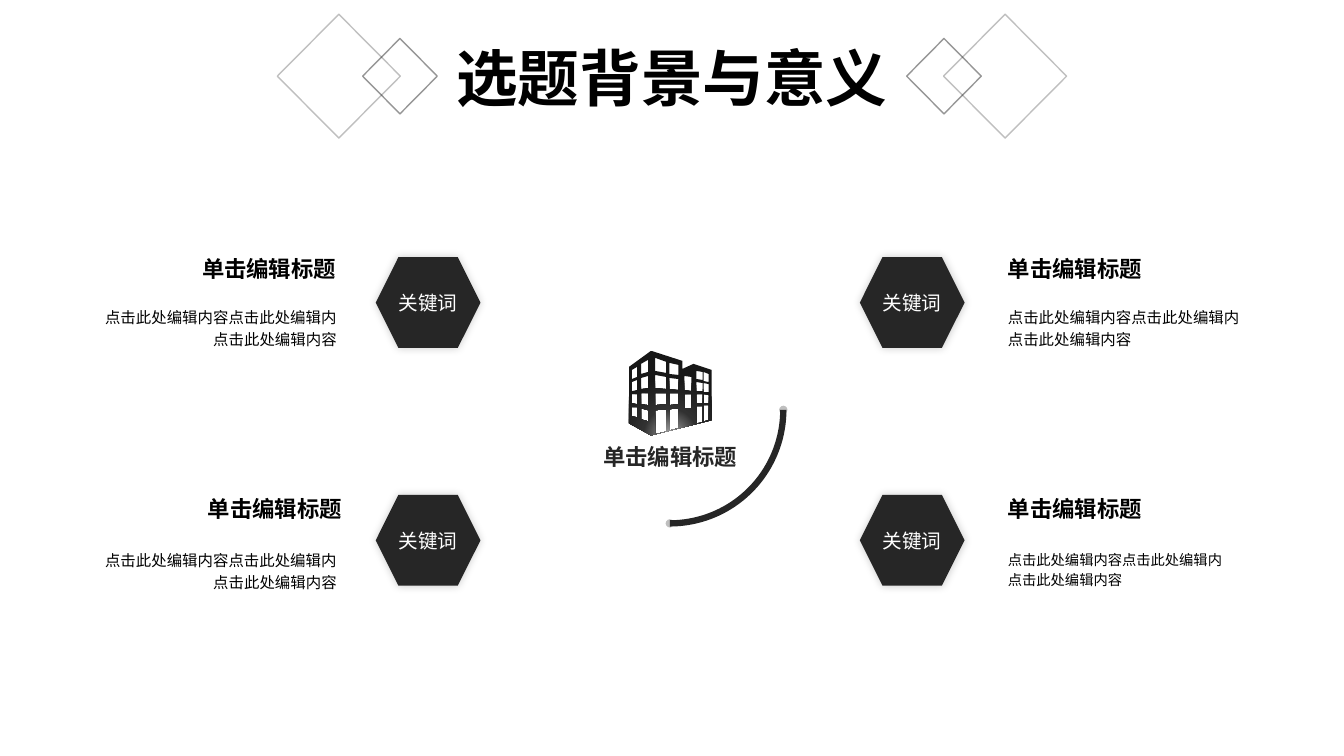
from dataclasses import dataclass

from lxml.etree import SubElement as Sub
from pptx import Presentation
from pptx.dml.color import RGBColor as Rgb
from pptx.enum.shapes import MSO_SHAPE as Kind
from pptx.enum.text import MSO_ANCHOR as Anchor, PP_ALIGN as Align
from pptx.oxml import parse_xml
from pptx.oxml.ns import nsdecls, qn
from pptx.util import Cm, Pt

FONT = "Noto Sans CJK SC"
HUES = {"black": "000000", "white": "FFFFFF", "dark": "262626",
        "edge": "1C1C1C", "tip": "BFBFBF"}
GLOW = {"0": "A8A8A8", "46000": "313131", "100000": "171717"}
WIDE, HIGH = 33.87, 19.05
HEAD = "单击编辑标题"
BODY = ["点击此处编辑内容点击此处编辑内", "点击此处编辑内容"]

# Building icon, in hundredths of an inch
WALL = [(22, 0), (53, 10), (53, 18), (64, 13), (82, 19),
        (82, 69), (22, 84), (0, 72), (0, 16)]
# Window columns: (left, right) -> heights of the four corners, clockwise
PANES = {
    (3, 8): [(19, 16, 26, 28), (31, 29, 39, 40), (43, 43, 53, 52), (56, 56, 66, 65)],
    (12, 19): [(13, 9, 21, 23), (27, 25, 37, 38), (42, 42, 54, 53), (57, 59, 70, 68)],
    (26, 37): [(7, 11, 22, 20), (24, 26, 38, 37), (42, 42, 53, 54), (59, 58, 80, 83)],
    (40, 49): [(12, 14, 24, 23), (27, 28, 39, 38), (42, 42, 53, 54), (58, 57, 77, 79)],
    (55, 62): [(25, 26, 40, 39), (43, 43, 57, 57)],
    (67, 73): [(20, 21, 29, 28), (31, 32, 40, 40), (43, 43, 52, 52), (55, 55, 71, 72)],
    (74, 79): [(21, 23, 31, 30), (32, 33, 41, 41), (43, 44, 52, 52), (54, 54, 69, 70)],
}


@dataclass
class Box:
    x: float
    y: float
    w: float
    h: float

    def cm(self) -> list:
        return [Cm(v) for v in (self.x, self.y, self.w, self.h)]

    def flip(self) -> "Box":
        return Box(WIDE - self.x - self.w, self.y, self.w, self.h)


@dataclass
class Gem:
    box: Box
    alpha: int


@dataclass
class Item:
    hex: Box
    head: Box
    body: Box
    side: Align
    size: float = 11


GEMS = [Gem(Box(6.99, 0.36, 3.1, 3.12), 27), Gem(Box(9.14, 0.97, 1.88, 1.9), 46)]
L, R = Align.LEFT, Align.RIGHT
ITEMS = [
    Item(Box(9.47, 6.48, 2.64, 2.29), Box(4.78, 6.3, 3.94, 0.94),
         Box(2.06, 7.54, 6.68, 1.4), R),
    Item(Box(9.47, 12.47, 2.64, 2.29), Box(4.93, 12.34, 3.94, 0.94),
         Box(2.06, 13.67, 6.68, 1.4), R),
    Item(Box(21.67, 6.48, 2.64, 2.29), Box(25.15, 6.3, 3.94, 0.94),
         Box(25.15, 7.54, 6.68, 1.4), L),
    Item(Box(21.67, 12.47, 2.64, 2.29), Box(25.15, 12.34, 3.94, 0.94),
         Box(25.15, 13.67, 6.68, 1.4), L, 10.2),
]


def hue(key: str) -> Rgb:
    return Rgb.from_string(HUES[key])


def fade(color, alpha: int) -> None:
    Sub(color, qn("a:alpha"), val=str(alpha * 1000))


def write(frame, lines: list, size: float, key: str, side: Align,
          bold: bool = False, wrap: bool = False, gap: float = 1) -> None:
    frame.word_wrap = wrap
    para = frame.paragraphs[0]
    para.alignment = side
    para.line_spacing = gap
    for n, line in enumerate(lines):
        if n:
            para.add_line_break()
        run = para.add_run()
        run.text = line
        font = run.font
        font.name, font.size, font.bold = FONT, Pt(size), bold
        font.color.rgb = hue(key)
        Sub(font._element, qn("a:ea"), typeface=FONT)


def label(slide, box: Box, lines: list, *args, **opts) -> None:
    write(slide.shapes.add_textbox(*box.cm()).text_frame, lines, *args, **opts)


def shape(slide, kind: Kind, box: Box, fill: str = "", line: str = "", width: float = 1):
    item = slide.shapes.add_shape(kind, *box.cm())
    item.shadow.inherit = False
    if fill:
        item.fill.solid()
        item.fill.fore_color.rgb = hue(fill)
    else:
        item.fill.background()
    if line:
        item.line.color.rgb = hue(line)
        item.line.width = Pt(width)
    else:
        item.line.fill.background()
    return item


def gem(slide, box: Box, alpha: int) -> None:
    item = shape(slide, Kind.DIAMOND, box, line="edge")
    fade(item.line._ln.find(".//" + qn("a:srgbClr")), alpha)


def badge(slide, box: Box) -> None:
    item = shape(slide, Kind.HEXAGON, box, fill="dark")
    glow = Sub(item._element.spPr.find(qn("a:effectLst")), qn("a:outerShdw"),
               blurRad=str(Pt(6)), dist="0", dir="18900000", algn="ctr", rotWithShape="0")
    fade(Sub(glow, qn("a:srgbClr"), val=HUES["black"]), 20)
    item.text_frame.vertical_anchor = Anchor.MIDDLE
    write(item.text_frame, ["关键词"], 14, "white", Align.CENTER)


def curve(slide) -> None:
    box = Box(14.02, 7.47, 5.72, 5.72)
    thin = shape(slide, Kind.ARC, box, "white", "tip", 1.5)
    for end in ("a:headEnd", "a:tailEnd"):
        Sub(thin.line._ln, qn(end), type="oval")
    thick = shape(slide, Kind.ARC, box, line="dark", width=4.5)
    thin.rotation = thick.rotation = 90


def tower(slide) -> None:
    pen = slide.shapes.build_freeform(*WALL[0], scale=Cm(2.54) / 100)
    pen.add_line_segments(WALL[1:], close=True)
    for (x1, x2), rows in PANES.items():
        for row in rows:
            dots = list(zip((x1, x2, x2, x1), row))
            pen.move_to(*dots[0])
            pen.add_line_segments(dots[1:], close=True)
    icon = pen.convert_to_shape(Cm(15.85), Cm(8.84))
    icon.shadow.inherit = False
    icon.line.fill.background()
    stops = "".join(f'<a:gs pos="{pos}"><a:srgbClr val="{tint}"/></a:gs>'
                    for pos, tint in GLOW.items())
    grad = parse_xml(
        f'<a:gradFill {nsdecls("a")} rotWithShape="1"><a:gsLst>{stops}</a:gsLst>'
        '<a:path path="circle"><a:fillToRect l="50000" t="130000" r="50000" b="-30000"/>'
        '</a:path></a:gradFill>')
    icon._element.spPr.find(qn("a:custGeom")).addnext(grad)


def main() -> None:
    deck = Presentation()
    deck.slide_width, deck.slide_height = Cm(WIDE), Cm(HIGH)
    slide = deck.slides.add_slide(deck.slide_layouts[5])

    # Title between mirrored diamonds
    title = slide.shapes.title
    title.left, title.top, title.width, title.height = Box(10.92, 0.86, 12.04, 2.13).cm()
    title.text_frame.vertical_anchor = Anchor.MIDDLE
    write(title.text_frame, ["选题背景与意义"], 44, "black", Align.CENTER, bold=True, wrap=True)
    for each in GEMS:
        for box in (each.box, each.box.flip()):
            gem(slide, box, each.alpha)

    # Centre: arc, building and caption
    curve(slide)
    tower(slide)
    label(slide, Box(14.45, 11.05, 4.88, 0.94), [HEAD], 16, "dark", Align.CENTER, bold=True)

    # Four keyword items
    for item in ITEMS:
        badge(slide, item.hex)
        label(slide, item.head, [HEAD], 16, "black", item.side, bold=True)
        label(slide, item.body, BODY, item.size, "black", item.side, wrap=True, gap=1.2)

    deck.save("out.pptx")


if __name__ == "__main__":
    main()
